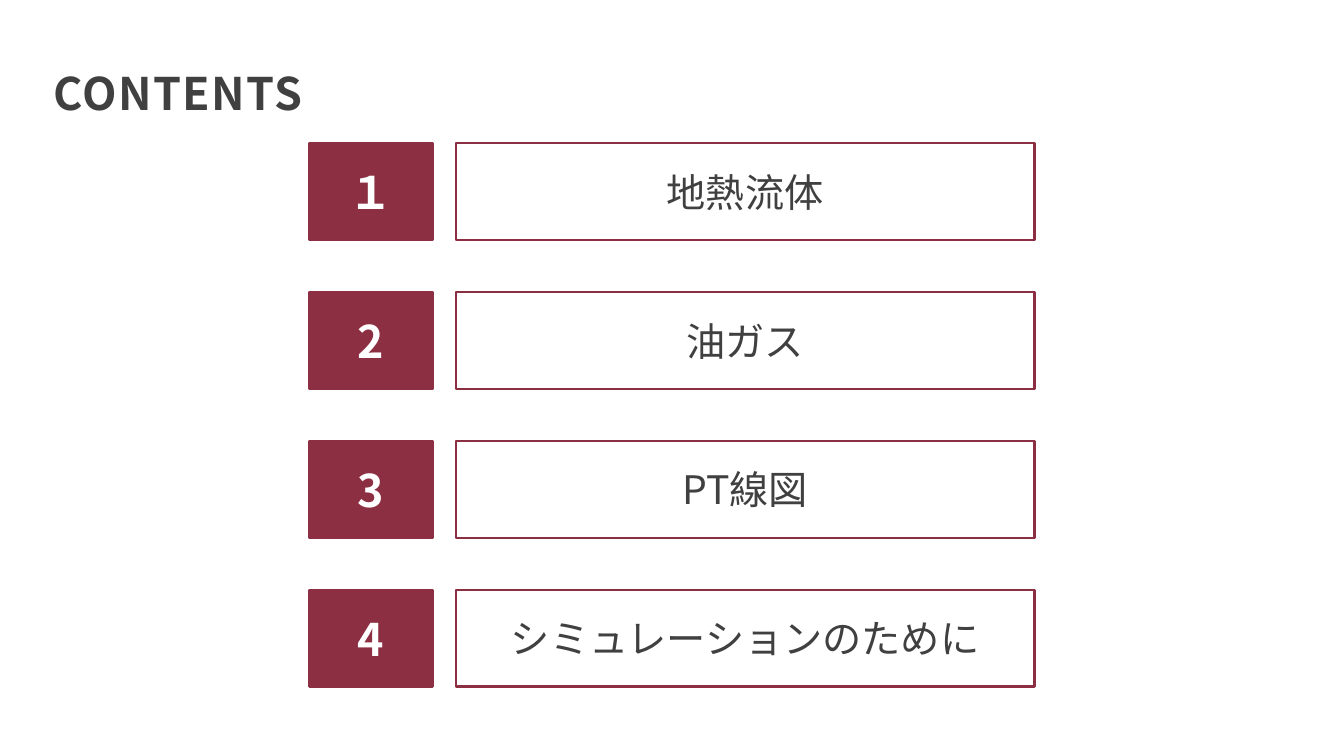
from pptx import Presentation
from pptx.dml.color import RGBColor
from pptx.enum.shapes import MSO_SHAPE
from pptx.enum.text import MSO_ANCHOR, MSO_AUTO_SIZE, PP_ALIGN
from pptx.oxml.ns import qn
from pptx.util import Inches, Pt
from lxml import etree

TITLE = "CONTENTS"
CHAPTERS = [
    ("１", "地熱流体"),
    ("2", "油ガス"),
    ("3", "PT線図"),
    ("4", "シミュレーションのために"),
]

FONT = "Noto Sans CJK JP"
WINE = RGBColor(0x8D, 0x2F, 0x43)
CHARCOAL = RGBColor(0x40, 0x40, 0x40)
WHITE = RGBColor(0xFF, 0xFF, 0xFF)
RECT, ROUNDED = MSO_SHAPE.RECTANGLE, MSO_SHAPE.ROUNDED_RECTANGLE
LEFT, CENTER = PP_ALIGN.LEFT, PP_ALIGN.CENTER
MIDDLE, BOTTOM = MSO_ANCHOR.MIDDLE, MSO_ANCHOR.BOTTOM

NUMBER_LEFT, NUMBER_WIDTH = 3.07, 1.22
NAME_LEFT, NAME_WIDTH = 4.52, 5.74
FIRST_TOP, ROW_HEIGHT, ROW_PITCH = 1.42, 0.96, 1.477

TITLE_FORMAT = {"size": Pt(32), "bold": True, "name": FONT}
NUMBER_FORMAT = {"size": Pt(32), "bold": True, "name": FONT}
NAME_FORMAT = {"size": Pt(28), "bold": False, "name": FONT}


def write(frame, text, font_format, color, align, anchor):
    """Put one formatted paragraph into a text frame and return its run."""
    frame.word_wrap = True
    frame.vertical_anchor = anchor
    paragraph = frame.paragraphs[0]
    paragraph.alignment = align
    run = paragraph.add_run()
    run.text = text
    for attribute, value in font_format.items():
        setattr(run.font, attribute, value)
    run.font.color.rgb = color
    etree.SubElement(run.font._element, qn("a:ea")).set("typeface", FONT)
    return run


def add_box(row, preset, left, top, width, text, font_format, color):
    """Add a wine-edged box with centred text to a chapter row."""
    box = row.shapes.add_shape(
        preset, Inches(left), Inches(top), Inches(width), Inches(ROW_HEIGHT))
    box.shadow.inherit = False
    box.line.color.rgb = WINE
    box.line.width = Pt(1.5)
    write(box.text_frame, text, font_format, color, CENTER, MIDDLE)
    return box


def add_title(slide):
    """Place and format the slide title."""
    title = slide.shapes.title
    title.left, title.top = Inches(0.53), Inches(0.69)
    title.width, title.height = Inches(12.26), Inches(0.5)
    frame = title.text_frame
    frame.auto_size = MSO_AUTO_SIZE.NONE
    for side in ("left", "top", "right", "bottom"):
        setattr(frame, f"margin_{side}", 0)
    heading = write(frame, TITLE, TITLE_FORMAT, CHARCOAL, LEFT, BOTTOM)
    heading.font._element.set("spc", "100")
    frame.paragraphs[0].line_spacing = 0.9


def main():
    """Build the contents slide."""
    deck = Presentation()
    deck.slide_width, deck.slide_height = Inches(13.33), Inches(7.5)
    slide = deck.slides.add_slide(deck.slide_layouts[5])
    add_title(slide)
    for index, (number, name) in enumerate(CHAPTERS):
        top = FIRST_TOP + index * ROW_PITCH
        row = slide.shapes.add_group_shape()
        number_box = add_box(row, RECT, NUMBER_LEFT, top, NUMBER_WIDTH,
                             number, NUMBER_FORMAT, WHITE)
        number_box.fill.solid()
        number_box.fill.fore_color.rgb = WINE
        name_box = add_box(row, ROUNDED, NAME_LEFT, top, NAME_WIDTH,
                           name, NAME_FORMAT, CHARCOAL)
        name_box.adjustments[0] = 0
        name_box.fill.background()
    deck.save("out.pptx")


if __name__ == "__main__":
    main()
